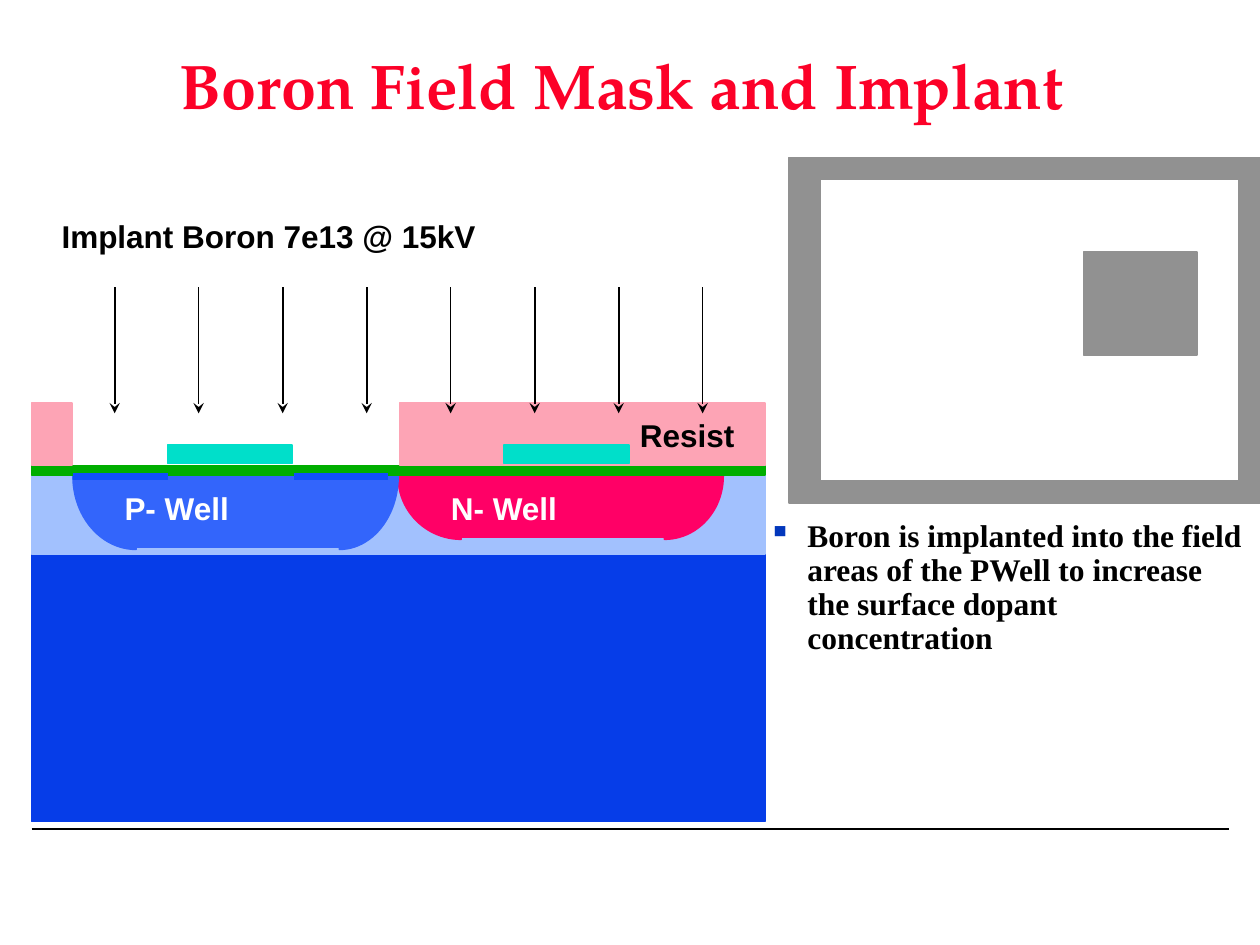
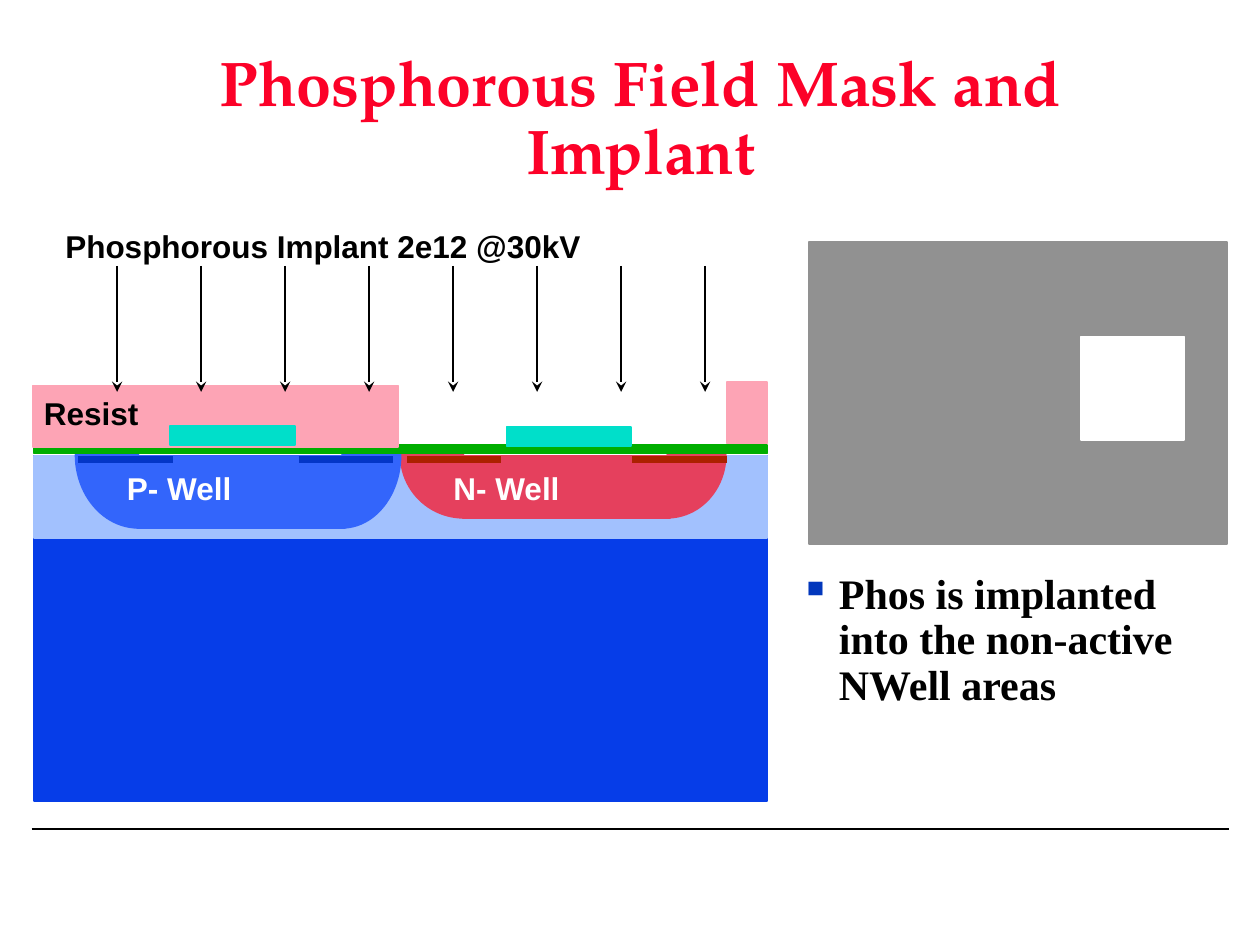
from lxml import etree
from pptx import Presentation
from pptx.dml.color import RGBColor
from pptx.enum.shapes import MSO_CONNECTOR, MSO_SHAPE
from pptx.enum.text import MSO_ANCHOR, MSO_AUTO_SIZE, PP_ALIGN
from pptx.oxml.ns import qn
from pptx.util import Inches, Pt

RECT, PIE, STRAIGHT = MSO_SHAPE.RECTANGLE, MSO_SHAPE.PIE, MSO_CONNECTOR.STRAIGHT
LEFT, CENTER = PP_ALIGN.LEFT, PP_ALIGN.CENTER
TOP, MIDDLE = MSO_ANCHOR.TOP, MSO_ANCHOR.MIDDLE
NO_FIT, GROW = MSO_AUTO_SIZE.NONE, MSO_AUTO_SIZE.SHAPE_TO_FIT_TEXT

BLACK = RGBColor(0x00, 0x00, 0x00)
WHITE = RGBColor(0xFF, 0xFF, 0xFF)
RED = RGBColor(0xFC, 0x01, 0x28)
GRAY = RGBColor(0x91, 0x91, 0x91)
SUBSTRATE = RGBColor(0x06, 0x3D, 0xE8)
EPI = RGBColor(0xA2, 0xC1, 0xFE)
P_WELL = RGBColor(0x33, 0x65, 0xFB)
N_WELL_PINK = RGBColor(0xFF, 0x00, 0x66)
N_WELL_RED = RGBColor(0xE5, 0x40, 0x5D)
OXIDE = RGBColor(0x00, 0xAE, 0x00)
NITRIDE = RGBColor(0x00, 0xDF, 0xCA)
RESIST = RGBColor(0xFD, 0xA4, 0xB5)
BORON = RGBColor(0x11, 0x4F, 0xFB)
BORON_DARK = RGBColor(0x03, 0x36, 0xC7)
PHOS = RGBColor(0xAC, 0x21, 0x00)
BULLET = "0237BC"

LABEL = {"name": "Arial", "size": Pt(18), "bold": True}
TITLE = {"name": "TeX Gyre Pagella", "size": Pt(36), "bold": True}
BODY = {"name": "Times New Roman", "bold": True}
HAIRLINE = 0.99
SECTION_W = 5.82
ARROWS, ARROW_GAP, ARROW_LEN = 8, 2 / 3, 1
FIELD_LEN = 0.75

SLIDES = [
    {
        "title": ("Boron Field Mask and Implant ", (1.08, 0.08, 7.83, 1.25)),
        "body": ("Boron is implanted into the field areas of the PWell to "
                 "increase the surface dopant concentration",
                 (6, 4.08, 4, 2.42), 18, 6.8),
        "dose": ("Implant Boron 7e13 @ 15kV", (0.39, 1.67, 3.49, 0.4)),
        "left": 0.25, "substrate_y": 3.78, "epi_y": 3.75, "surface": 3.78,
        "lift": 0.02, "n_well": N_WELL_PINK, "well_label_y": 3.83,
        "oxide_y": 3.7, "nitride_y": (3.53, 3.53), "arrow_y": 2.28,
        "resist": [(3.17, 3.2, 2.9, 0.49), (0.25, 3.2, 0.32, 0.49)],
        "resist_label": (4.98, 3.25, 0.95, 0.4),
        "field_y": 3.78, "fields": [(0.58, BORON), (2.33, BORON)],
        "mask": [((6.26, 1.25, 3.74, 2.74), GRAY, GRAY),
                 ((6.51, 1.42, 3.32, 2.4), WHITE, GRAY),
                 ((8.6, 2, 0.9, 0.82), GRAY, GRAY)],
    },
    {
        "title": ("Phosphorous Field Mask and Implant", (1.17, 0.33, 7.83, 1.25)),
        "body": ("Phos is implanted into the non-active NWell areas",
                 (6.25, 4.5, 3.5, 2.08), 24, 9),
        "dose": ("Phosphorous Implant 2e12 @30kV", (0.42, 1.75, 4.29, 0.4)),
        "left": 0.27, "substrate_y": 3.62, "epi_y": 3.62, "surface": 3.61,
        "lift": 0, "n_well": N_WELL_RED, "well_label_y": 3.67,
        "oxide_y": 3.53, "nitride_y": (3.38, 3.39), "arrow_y": 2.11,
        "resist": [(0.26, 3.06, 2.9, 0.49), (5.77, 3.03, 0.32, 0.49)],
        "resist_label": (0.25, 3.08, 0.95, 0.4),
        "field_y": 3.65, "fields": [(0.62, BORON_DARK), (2.37, BORON_DARK),
                                    (3.23, PHOS), (5.02, PHOS)],
        "mask": [((6.42, 1.92, 3.32, 2.4), GRAY, GRAY),
                 ((8.58, 2.67, 0.82, 0.82), WHITE, WHITE)],
    },
]


def add_block(parent, box, fill, line=None, kind=RECT, angles=()):
    sp = parent.shapes.add_shape(kind, *map(Inches, box))
    sp.shadow.inherit = False
    sp.fill.solid()
    sp.fill.fore_color.rgb = fill
    sp.line.color.rgb = line or fill
    sp.line.width = Pt(HAIRLINE)
    for i, degrees in enumerate(angles):
        sp.adjustments[i] = degrees * 0.6
    return sp


def add_line(parent, start, end, color=BLACK, width=HAIRLINE, arrow=False):
    cx = parent.shapes.add_connector(STRAIGHT, *map(Inches, start + end))
    cx.line.color.rgb = color
    cx.line.width = Pt(width)
    if arrow:
        etree.SubElement(cx.line._get_or_add_ln(), qn("a:tailEnd"), type="stealth")
    etree.SubElement(cx._element.spPr, qn("a:effectLst"))


def write(sp, text, font, color, align=LEFT, anchor=TOP, wrap=False, fit=GROW):
    tf = sp.text_frame
    for key, value in {"word_wrap": wrap, "auto_size": fit,
                       "vertical_anchor": anchor}.items():
        setattr(tf, key, value)
    p = tf.paragraphs[0]
    p.alignment = align
    r = p.add_run()
    r.text = text
    for key, value in font.items():
        setattr(r.font, key, value)
    r.font.color.rgb = color
    return p


def add_label(parent, text, box, color=BLACK):
    write(parent.shapes.add_textbox(*map(Inches, box)), text, LABEL, color)


def add_title(s, text, box):
    sp = s.shapes.title
    sp.left, sp.top, sp.width, sp.height = map(Inches, box)
    p = write(sp, text, TITLE, RED, CENTER, MIDDLE, True, NO_FIT)
    p.line_spacing = 0.9


def add_body(s, text, box, size, before):
    sp = s.shapes.add_textbox(*map(Inches, box))
    p = write(sp, text, {**BODY, "size": Pt(size)}, BLACK, wrap=True, fit=NO_FIT)
    p.line_spacing = 0.9
    p.space_before = Pt(before)
    pPr = p._p.get_or_add_pPr()
    pPr.set("marL", str(Inches(0.31)))
    pPr.set("indent", str(-Inches(0.31)))
    clr = etree.SubElement(pPr, qn("a:buClr"))
    etree.SubElement(clr, qn("a:srgbClr"), val=BULLET)
    etree.SubElement(pPr, qn("a:buChar"), char="▪")


def add_well(g, d, x, depth, color):
    surface, top = d["surface"], d["epi_y"]
    y = surface - depth
    add_block(g, (x, y, 1, 2 * depth), color, kind=PIE, angles=(90, 180))
    add_block(g, (x + 1.65, y, 0.93, 2 * depth), color, kind=PIE, angles=(0, 90))
    add_block(g, (x + 0.49, top, 1.65, surface + depth - d["lift"] - top), color)


def add_section(s, d):
    g = s.shapes.add_group_shape()
    x = d["left"]
    add_block(g, (x, d["substrate_y"], SECTION_W, 2.74), SUBSTRATE)
    add_block(g, (x, d["epi_y"], SECTION_W, 0.65), EPI)
    add_well(g, d, x + 2.91, 0.5, d["n_well"])
    add_well(g, d, x + 0.33, 0.58, P_WELL)
    add_label(g, "P- Well", (x + 0.64, d["well_label_y"], 1.04, 0.4), WHITE)
    add_label(g, "N- Well", (x + 3.23, d["well_label_y"], 1.05, 0.4), WHITE)
    add_block(g, (x, d["oxide_y"], SECTION_W, 0.07), OXIDE)
    for box in d["resist"]:
        add_block(g, box, RESIST)
    for dx, y in zip((1.08, 3.75), d["nitride_y"]):
        add_block(g, (x + dx, y, 0.99, 0.15), NITRIDE)
    add_label(g, "Resist", d["resist_label"])
    for i in range(ARROWS):
        ax, ay = x + 0.66 + i * ARROW_GAP, d["arrow_y"]
        add_line(g, (ax, ay), (ax, ay + ARROW_LEN), arrow=True)
    add_label(g, *d["dose"])
    for fx, color in d["fields"]:
        add_line(g, (fx, d["field_y"]), (fx + FIELD_LEN, d["field_y"]), color, 4)


def add_mask(s, blocks):
    g = s.shapes.add_group_shape()
    for box, fill, line in blocks:
        add_block(g, box, fill, line)


prs = Presentation()
prs.slide_width, prs.slide_height = Inches(10), Inches(7.5)
for d in SLIDES:
    s = prs.slides.add_slide(prs.slide_layouts[5])
    add_line(s, (0.25, 6.58), (9.75, 6.58))
    add_title(s, *d["title"])
    add_body(s, *d["body"])
    add_section(s, d)
    add_mask(s, d["mask"])
prs.save("out.pptx")
